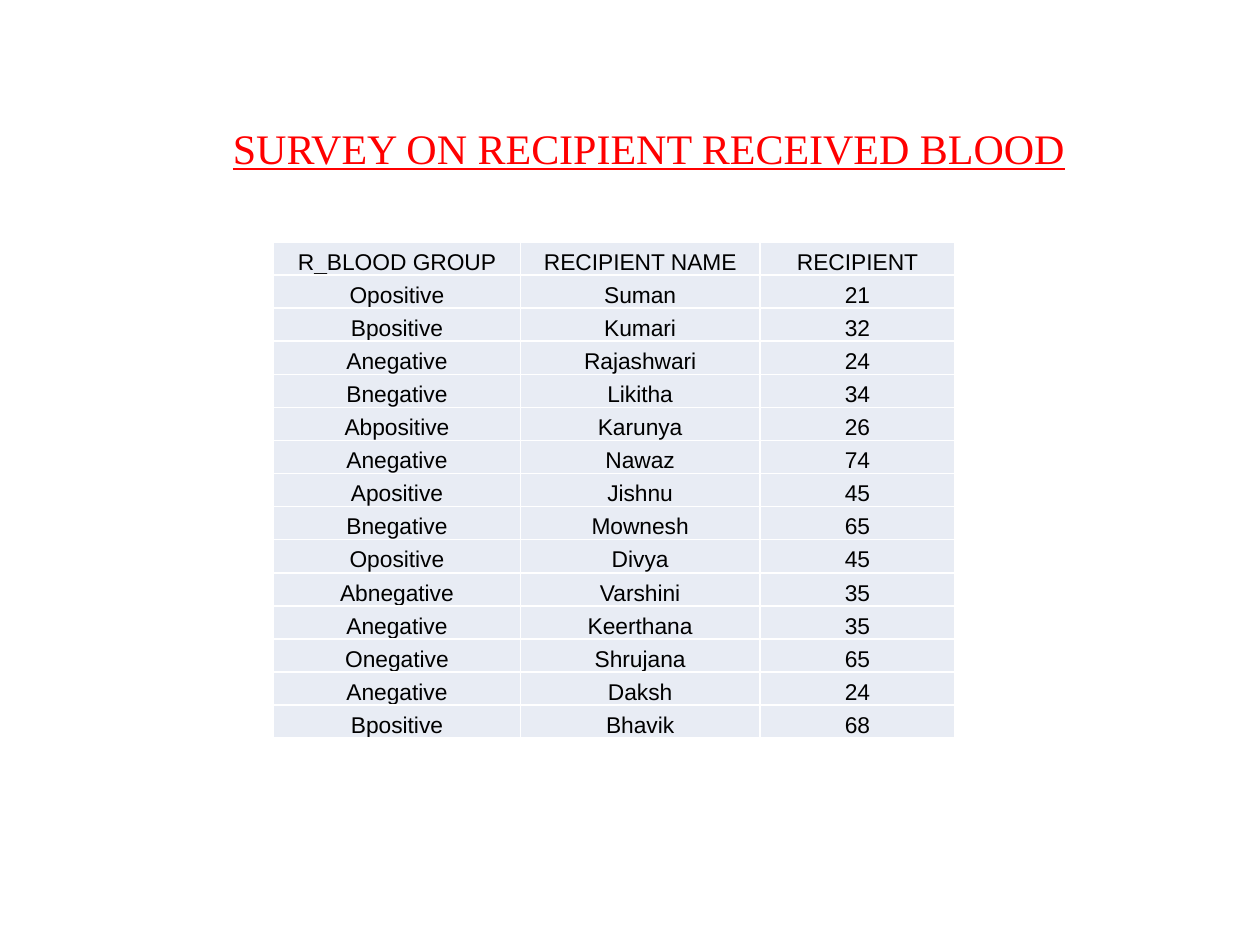
from dataclasses import dataclass
from typing import NamedTuple

from lxml import etree
from pptx import Presentation
from pptx.dml.color import RGBColor
from pptx.enum import text
from pptx.oxml import ns
from pptx.util import Inches, Pt


@dataclass(frozen=True)
class Theme:
    title_font: str = "Times New Roman"
    title_size: int = 24
    title_color: str = "FF0000"
    table_font: str = "Arial"
    table_size: int = 13
    table_color: str = "000000"
    cell_fill: str = "E8ECF4"
    border_color: str = "FFFFFF"
    border_width: int = 1


class Recipient(NamedTuple):
    blood_group: str
    name: str
    count: int


THEME = Theme()
HEADER = ("R_BLOOD GROUP", "RECIPIENT NAME", "RECIPIENT")
RECIPIENTS = [
    Recipient("Opositive", "Suman", 21),
    Recipient("Bpositive", "Kumari", 32),
    Recipient("Anegative", "Rajashwari", 24),
    Recipient("Bnegative", "Likitha", 34),
    Recipient("Abpositive", "Karunya", 26),
    Recipient("Anegative", "Nawaz", 74),
    Recipient("Apositive", "Jishnu", 45),
    Recipient("Bnegative", "Mownesh", 65),
    Recipient("Opositive", "Divya", 45),
    Recipient("Abnegative", "Varshini", 35),
    Recipient("Anegative", "Keerthana", 35),
    Recipient("Onegative", "Shrujana", 65),
    Recipient("Anegative", "Daksh", 24),
    Recipient("Bpositive", "Bhavik", 68),
]
COLUMN_WIDTHS = (1.96, 1.9, 1.55)
TABLE_HEIGHT = 3.94


def style_run(r, font: str, size: int, color: str) -> None:
    r.font.name = font
    r.font.size = Pt(size)
    r.font.color.rgb = RGBColor.from_string(color)


def add_title(slide, title: str) -> None:
    sp = slide.shapes.add_textbox(Inches(1.75), Inches(0.92), Inches(6.92), Inches(0.5))
    tf = sp.text_frame
    tf.word_wrap = True
    tf.text = title
    r = tf.paragraphs[0].runs[0]
    style_run(r, THEME.title_font, THEME.title_size, THEME.title_color)
    r.font.underline = True


def set_borders(cell) -> None:
    tc_pr = cell._tc.get_or_add_tcPr()
    for side in ("a:lnL", "a:lnR", "a:lnT", "a:lnB"):
        ln = etree.SubElement(tc_pr, ns.qn(side), w=str(Pt(THEME.border_width)))
        fill = etree.SubElement(ln, ns.qn("a:solidFill"))
        etree.SubElement(fill, ns.qn("a:srgbClr"), val=THEME.border_color)


def fill_cell(cell, value: str) -> None:
    set_borders(cell)
    cell.fill.solid()
    cell.fill.fore_color.rgb = RGBColor.from_string(THEME.cell_fill)
    cell.margin_left = cell.margin_right = cell.margin_top = Inches(0.01)
    cell.margin_bottom = 0
    cell.vertical_anchor = text.MSO_ANCHOR.BOTTOM
    cell.text_frame.text = value
    p = cell.text_frame.paragraphs[0]
    p.alignment = text.PP_ALIGN.CENTER
    style_run(p.runs[0], THEME.table_font, THEME.table_size, THEME.table_color)


def add_recipient_table(slide) -> None:
    rows = [HEADER, *RECIPIENTS]
    table = slide.shapes.add_table(
        len(rows), len(HEADER), Inches(2.17), Inches(1.92),
        Inches(sum(COLUMN_WIDTHS)), Inches(TABLE_HEIGHT),
    ).table
    table.first_row = table.horz_banding = False
    for column, width in zip(table.columns, COLUMN_WIDTHS):
        column.width = Inches(width)
    for row, values in zip(table.rows, rows):
        row.height = Inches(TABLE_HEIGHT / len(rows))
        for cell, value in zip(row.cells, values):
            fill_cell(cell, str(value))


def main() -> None:
    prs = Presentation()
    prs.slide_width, prs.slide_height = Inches(10), Inches(7.5)
    slide = prs.slides.add_slide(prs.slide_layouts[6])

    # Survey table
    add_recipient_table(slide)

    # Title
    add_title(slide, "SURVEY ON RECIPIENT RECEIVED BLOOD")

    prs.save("out.pptx")


if __name__ == "__main__":
    main()
